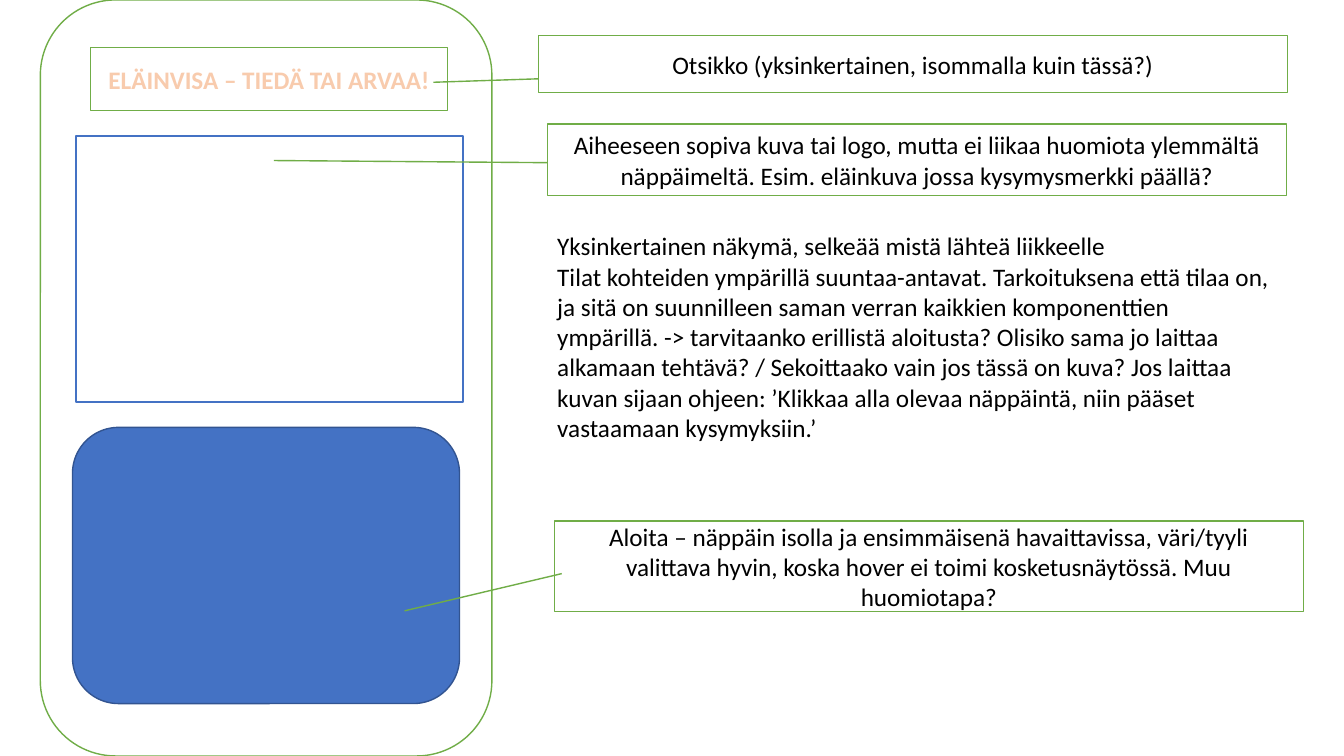
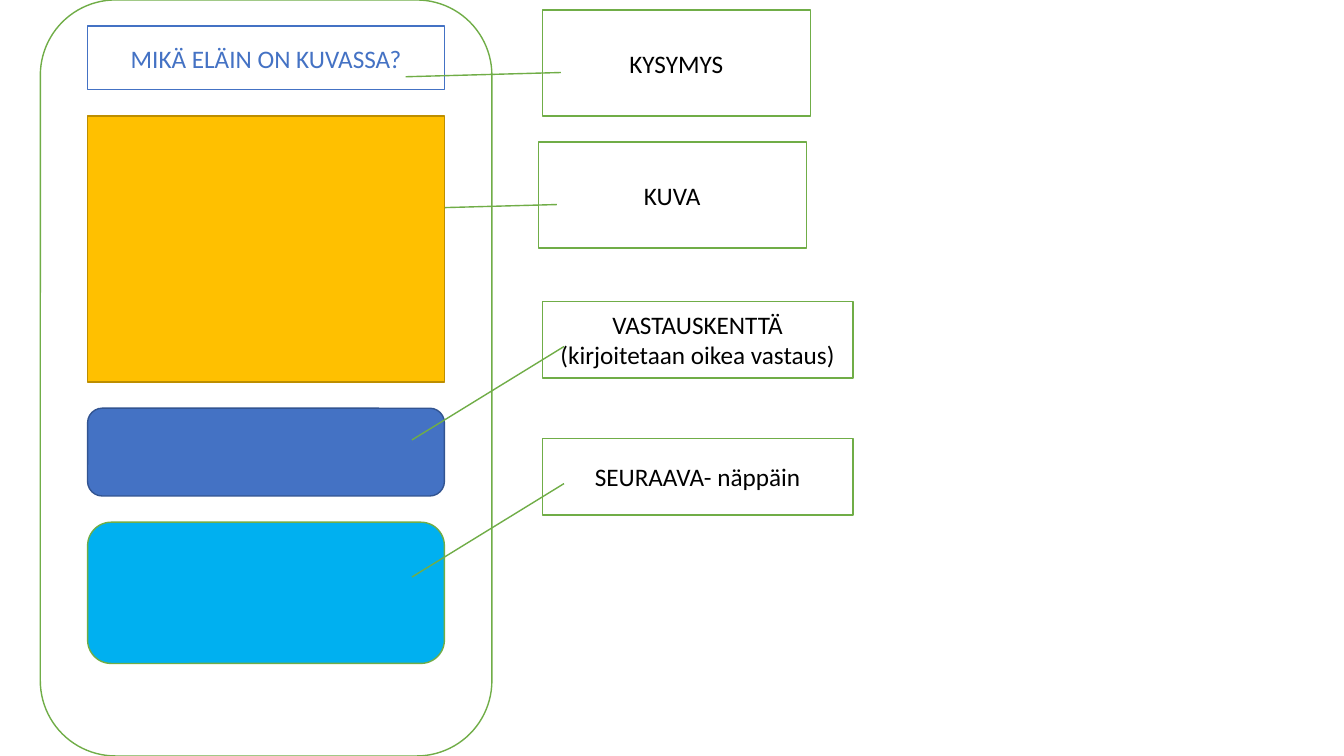
"""Build two annotated wireframe slides for an animal quiz."""
from dataclasses import dataclass
from itertools import accumulate

from lxml import etree
from pptx import Presentation
from pptx.dml.color import RGBColor
from pptx.enum.shapes import MSO_SHAPE
from pptx.enum.text import MSO_AUTO_SIZE, PP_ALIGN
from pptx.oxml.ns import qn
from pptx.util import Pt

RECT = MSO_SHAPE.RECTANGLE
ROUNDED = MSO_SHAPE.ROUNDED_RECTANGLE
CALLOUT = MSO_SHAPE.LINE_CALLOUT_1
CENTER = PP_ALIGN.CENTER
FIT_SHAPE = MSO_AUTO_SIZE.SHAPE_TO_FIT_TEXT


@dataclass(frozen=True)
class Theme:
    """Colours, font and sizes shared by both slides."""
    white: str = "FFFFFF"
    black: str = "000000"
    green: str = "70AD47"
    blue: str = "4472C4"
    navy: str = "325491"
    gold: str = "FFC000"
    bronze: str = "BD8E00"
    cyan: str = "00B0F0"
    peach: str = "F8CBAD"
    orange: str = "ED7D31"
    font: str = "Calibri"
    size: int = 18
    line: float = 1


T = Theme()
PHONE = (28.8, 0, 322.56, 540)


def rgb(color):
    """Turn a hex string into a colour."""
    return RGBColor.from_string(color)


def style_text(p, color, bold=False):
    """Give a paragraph the shared type style."""
    font = p.font
    font.name, font.size, font.bold = T.font, Pt(T.size), bold
    font.color.rgb = rgb(color)


def add_box(s, kind, box, fill=T.white, line=T.green, text="", color=T.black, bold=False, width=T.line):
    """Draw a filled, outlined shape with optional centred text."""
    sp = s.shapes.add_shape(kind, *map(Pt, box))
    sp.shadow.inherit = False
    sp.fill.solid()
    sp.fill.fore_color.rgb = rgb(fill)
    sp.line.color.rgb = rgb(line)
    sp.line.width = Pt(width)
    if text:
        p = sp.text_frame.paragraphs[0]
        p.text, p.alignment = text, CENTER
        style_text(p, color, bold)
    return sp


def add_callout(s, box, text, leader):
    """Draw a callout; leader holds start y, x and end y, x as box fractions."""
    sp = add_box(s, CALLOUT, box, text=text)
    for i, value in enumerate(leader):
        sp.adjustments[i] = value


def outline_text(sp, color, width):
    """Outline the letters of a shape's text."""
    for r in sp.text_frame.paragraphs[0].runs:
        rpr = r.font._element
        ln = etree.Element(qn("a:ln"), w=str(Pt(width)))
        fill = etree.SubElement(ln, qn("a:solidFill"))
        etree.SubElement(fill, qn("a:srgbClr"), val=color)
        rpr.insert(0, ln)


def add_notes_text(s, box, lines):
    """Write free-standing left-aligned comments."""
    sp = s.shapes.add_textbox(*map(Pt, box))
    tf = sp.text_frame
    tf.word_wrap = True
    tf.auto_size = FIT_SHAPE
    tf.text = "\n".join(lines)
    for p in tf.paragraphs:
        style_text(p, T.black)


def add_slide(prs):
    """Add a blank slide holding the phone frame."""
    s = prs.slides.add_slide(prs.slide_layouts[6])
    add_box(s, ROUNDED, PHONE)
    return s


def start_view(prs, phone):
    """Build the start screen and its comments."""
    s = add_slide(prs)
    x, y, w, _ = phone
    right = x + w
    add_box(s, ROUNDED, (x + 23, y + 305.3, 276.5, 197.3), T.blue, T.navy)
    add_callout(s, (right + 44.6, y + 372.2, 535, 64.8),
                "Aloita – näppäin isolla ja ensimmäisenä havaittavissa, väri/tyyli "
                "valittava hyvin, koska hover ei toimi kosketusnäytössä. Muu huomiotapa?",
                (0.58, 0.01, 0.99, -0.2))
    title = add_box(s, RECT, (x + 36, y + 33.8, 254.9, 45.4),
                    text="ELÄINVISA – TIEDÄ TAI ARVAA!", color=T.peach, bold=True)
    outline_text(title, T.orange, 1.75)
    add_callout(s, (right + 33.1, y + 25.2, 535, 41),
                "Otsikko (yksinkertainen, isommalla kuin tässä?)", (0.76, 0, 0.82, -0.14))
    add_notes_text(s, (right + 39.6, y + 161.3, 527.8, 159.8), [
        "Yksinkertainen näkymä, selkeää mistä lähteä liikkeelle",
        "Tilat kohteiden ympärillä suuntaa-antavat. Tarkoituksena että tilaa on, ja sitä on "
        "suunnilleen saman verran kaikkien komponenttien ympärillä. -> tarvitaanko erillistä "
        "aloitusta? Olisiko sama jo laittaa alkamaan tehtävä? / Sekoittaako vain jos tässä on "
        "kuva? Jos laittaa kuvan sijaan ohjeen: ’Klikkaa alla olevaa näppäintä, niin pääset "
        "vastaamaan kysymyksiin.’"])
    add_box(s, RECT, (x + 25.2, y + 97.2, 276.5, 190.1), line=T.blue, width=1.5)
    add_callout(s, (right + 39.6, y + 88.6, 527.8, 51.1),
                "Aiheeseen sopiva kuva tai logo, mutta ei liikaa huomiota ylemmältä "
                "näppäimeltä. Esim. eläinkuva jossa kysymysmerkki päällä?",
                (0.54, 0, 0.51, -0.37))


def question_view(prs, phone):
    """Build the question screen with its evenly spaced parts."""
    s = add_slide(prs)
    x, y, w, _ = phone
    right, gap = x + w + 36, 18.7
    heights = (45.4, 190.1, 62.7, 100.9)
    tops = accumulate((h + gap for h in heights[:-1]), initial=y + gap)
    header, picture, answer, following = [
        (x + 33.8, top, 254.9, h) for top, h in zip(tops, heights)]
    level, rising = (0.59, 0.07, 0.63, -0.51), (0.59, 0.07, 1.81, -0.42)

    add_box(s, RECT, header, line=T.blue, text="MIKÄ ELÄIN ON KUVASSA?", color=T.blue)
    add_callout(s, (right, y + 7.2, 191.5, 75.6), "KYSYMYS", level)
    add_callout(s, (right - 2.9, y + 101.5, 191.5, 75.6), "KUVA", level)
    add_box(s, RECT, picture, T.gold, T.bronze)
    add_box(s, ROUNDED, answer, T.blue, T.navy)
    add_callout(s, (right, y + 215.3, 221.8, 54.7),
                "VASTAUSKENTTÄ (kirjoitetaan oikea vastaus)", rising)
    add_box(s, ROUNDED, following, T.cyan)
    add_callout(s, (right, y + 313.2, 221.8, 54.7), "SEURAAVA- näppäin", rising)


def main():
    """Create and save the presentation."""
    prs = Presentation()
    prs.slide_width, prs.slide_height = Pt(960), Pt(540)
    start_view(prs, PHONE)
    question_view(prs, PHONE)
    prs.save("out.pptx")


main()
